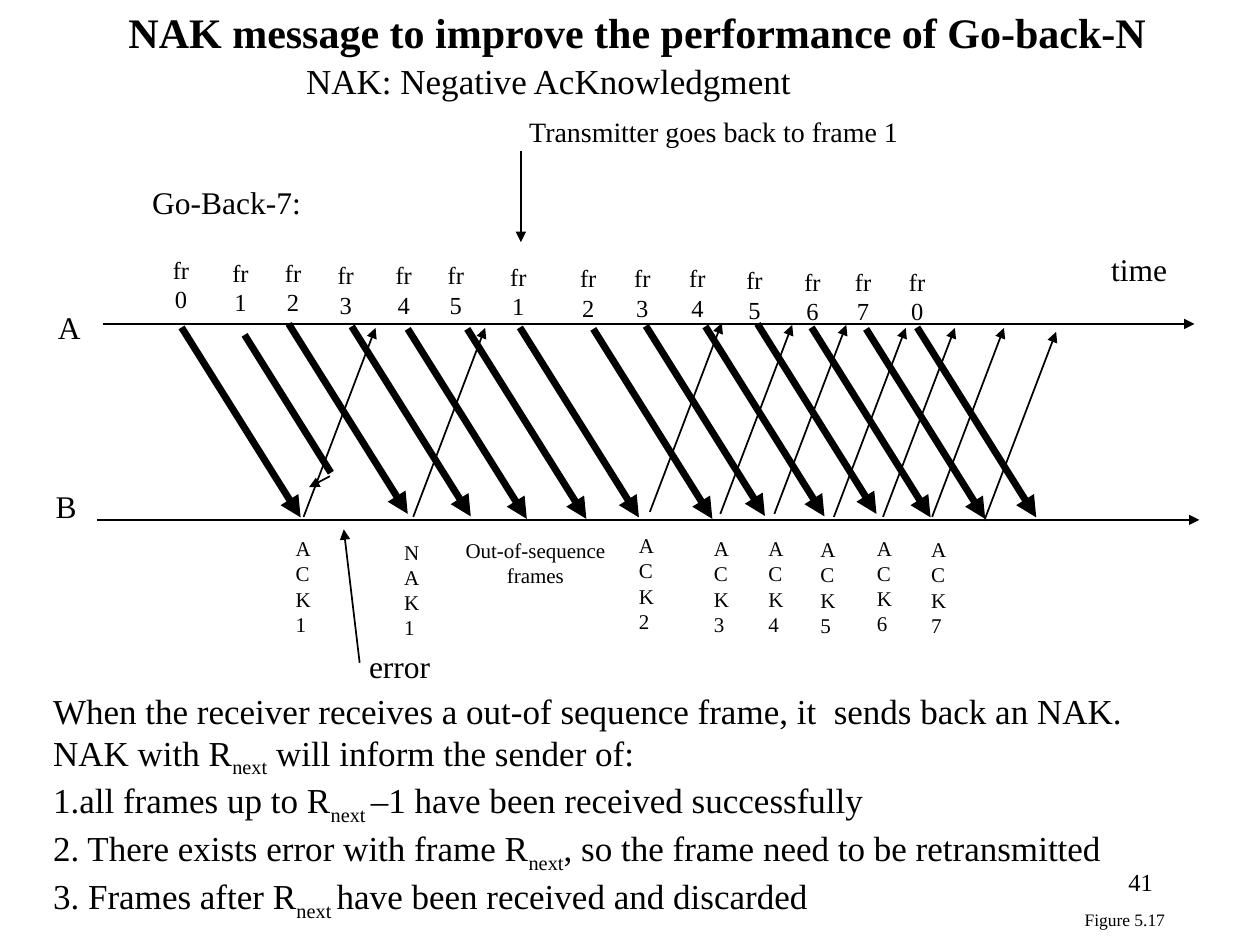
from lxml import etree
from pptx import Presentation
from pptx.dml.color import RGBColor
from pptx.enum.shapes import MSO_CONNECTOR
from pptx.enum.text import MSO_ANCHOR, MSO_AUTO_SIZE, PP_ALIGN
from pptx.oxml.ns import qn
from pptx.util import Cm, Pt

BLACK = RGBColor(0, 0, 0)
FONT = "Times New Roman"
STRAIGHT = MSO_CONNECTOR.STRAIGHT
LEFT, CENTER, RIGHT = PP_ALIGN.LEFT, PP_ALIGN.CENTER, PP_ALIGN.RIGHT
TOP, MIDDLE = MSO_ANCHOR.TOP, MSO_ANCHOR.MIDDLE
FIT_SHAPE = MSO_AUTO_SIZE.SHAPE_TO_FIT_TEXT

SMALL_INSET = (0.2, 0.1)
INSET = (0.25, 0.13)
WIDE_INSET = (0.38, 0.2)
NARROW, WIDE = 1.09, 1.4

# Frame number, label centre, label top, label width, arrow start (None: lost)
FRAMES = [
    (0, 3.65, 4.94, NARROW, (3.66, 6.6)),
    (1, 4.85, 5.0, NARROW, None),
    (2, 5.91, 5.0, NARROW, (5.82, 6.53)),
    (3, 6.97, 5.05, NARROW, (7.09, 6.58)),
    (4, 8.14, 5.05, NARROW, (8.22, 6.63)),
    (5, 9.19, 5.05, NARROW, (9.42, 6.63)),
    (1, 10.45, 5.08, WIDE, (10.48, 6.6)),
    (2, 11.86, 5.11, WIDE, (11.96, 6.63)),
    (3, 12.95, 5.11, NARROW, (13.02, 6.57)),
    (4, 14.06, 5.11, NARROW, (14.22, 6.58)),
    (5, 15.21, 5.15, WIDE, (15.27, 6.53)),
    (6, 16.38, 5.18, WIDE, (16.36, 6.6)),
    (7, 17.4, 5.18, WIDE, (17.46, 6.63)),
    (0, 18.49, 5.18, WIDE, (18.49, 6.6)),
]
FRAME_RUN = (2.4, 3.83)

# Reply, label left, label top, label width, arrow start
REPLIES = [
    ("ACK1", 5.71, 10.67, 0.79, (6.12, 10.42)),
    ("NAK1", 7.9, 10.74, 0.61, (8.33, 10.42)),
    ("ACK2", 12.63, 10.61, 0.61, (13.1, 10.32)),
    ("ACK3", 14.14, 10.67, 0.61, (14.52, 10.36)),
    ("ACK4", 15.24, 10.67, 0.61, (15.61, 10.36)),
    ("ACK5", 16.29, 10.69, 0.61, (16.81, 10.42)),
    ("ACK6", 17.43, 10.66, 0.61, (17.8, 10.42)),
    ("ACK7", 18.52, 10.69, 0.61, (18.79, 10.42)),
]
LAST_REPLY_START = (19.84, 10.5)
REPLY_RUN = (1.45, -3.81)

# Each line alternates normal and subscript text
EXPLANATION = [
    ["When the receiver receives a out-of sequence frame, it  sends back an NAK."],
    ["NAK with R", "next", " will inform the sender of:"],
    ["1.all frames up to R", "next ", "–1 have been received successfully"],
    ["2. There exists error with frame R", "next",
     ", so the frame need to be retransmitted"],
    ["3. Frames after R", "next ", "have been received and discarded"],
]


def add_text(s, box, lines, size, align=LEFT, inset=INSET, wrap=False,
             bold=False, anchor=TOP, fit=True):
    """Text box; a line is a string or a list of normal and subscript runs."""
    tf = s.shapes.add_textbox(*map(Cm, box)).text_frame
    tf.word_wrap = wrap
    tf.vertical_anchor = anchor
    if fit:
        tf.auto_size = FIT_SHAPE
    tf.margin_left = tf.margin_right = Cm(inset[0])
    tf.margin_top = tf.margin_bottom = Cm(inset[1])
    for i, line in enumerate(lines):
        p = tf.paragraphs[0] if i == 0 else tf.add_paragraph()
        p.alignment = align
        for j, text in enumerate([line] if isinstance(line, str) else line):
            r = p.add_run()
            r.text = text
            r.font.name = FONT
            r.font.size = Pt(size)
            r.font.bold = bold
            r.font.color.rgb = BLACK
            if j % 2:
                r.font._element.set("baseline", "-25000")


def add_line(parent, start, end, width=1, arrow=True):
    line = parent.shapes.add_connector(STRAIGHT, *map(Cm, (*start, *end)))
    line.line.color.rgb = BLACK
    line.line.width = Pt(width)
    if arrow:
        etree.SubElement(line.line._get_or_add_ln(), qn("a:tailEnd"), type="triangle")
    etree.SubElement(line._element.spPr, qn("a:effectLst"))


def add_run_arrow(s, start, run, width=1):
    add_line(s, start, (start[0] + run[0], start[1] + run[1]), width)


def add_timelines(s):
    add_line(s, (2.08, 6.53), (24.08, 6.53))
    add_line(s, (1.96, 10.48), (24.18, 10.48))
    add_text(s, (0.79, 6.01, 1.22, 1.14), ["A"], 18, inset=WIDE_INSET)
    add_text(s, (0.74, 9.62, 1.19, 1.14), ["B"], 18, inset=WIDE_INSET)
    add_text(s, (22.02, 4.85, 1.9, 1.14), ["time"], 18, inset=WIDE_INSET)


def add_frames(s):
    for number, center, top, width, start in FRAMES:
        add_text(s, (center - width / 2, top, width, 1.57), ["fr", str(number)],
                 14, CENTER, WIDE_INSET, wrap=width == WIDE)
        if start:
            add_run_arrow(s, start, FRAME_RUN, 4)
    # Lost frame
    lost = s.shapes.add_group_shape()
    add_line(lost, (4.93, 6.75), (6.67, 9.53), 4, arrow=False)
    add_line(lost, (6.65, 9.6), (6.23, 9.82))


def add_replies(s):
    for reply, left, top, width, start in REPLIES:
        add_text(s, (left, top, width, 2.29), [reply], 12, wrap=True)
        add_run_arrow(s, start, REPLY_RUN)
    add_run_arrow(s, LAST_REPLY_START, REPLY_RUN)


def add_notes_on_diagram(s):
    add_text(s, (2.82, 3.57, 3.51, 1.02), ["Go-Back-7:"], 18)
    add_text(s, (10.47, 2.21, 7.87, 0.89), ["Transmitter goes back to frame 1"],
             16, inset=SMALL_INSET)
    add_line(s, (10.5, 3.05), (10.5, 4.88))
    add_text(s, (7.19, 12.91, 1.8, 1.02), ["error"], 18, wrap=True)
    add_line(s, (7.25, 13.36), (6.93, 10.67))
    add_text(s, (8.89, 10.71, 3.81, 1.27), ["Out-of-sequence", "frames"],
             12, CENTER, wrap=True)


def main():
    prs = Presentation()
    prs.slide_width, prs.slide_height = Cm(25.4), Cm(19.05)
    s = prs.slides.add_slide(prs.slide_layouts[6])

    # Headings
    add_text(s, (2.34, 0, 21.03, 1.27),
             ["NAK message to improve the performance of Go-back-N"], 24, bold=True)
    add_text(s, (5.92, 1.06, 10.31, 1.12), ["NAK: Negative AcKnowledgment"], 20)

    # Diagram
    add_timelines(s)
    add_frames(s)
    add_replies(s)
    add_notes_on_diagram(s)

    # Explanation and footer
    add_text(s, (0.82, 13.76, 22.4, 4.95), EXPLANATION, 20, wrap=True)
    add_text(s, (18.21, 17.35, 5.28, 1.27), ["41"], 14, RIGHT, wrap=True, fit=False)
    add_text(s, (21.61, 18.2, 2.13, 0.69), ["Figure 5.17"], 10, CENTER, anchor=MIDDLE)

    prs.save("out.pptx")


if __name__ == "__main__":
    main()
